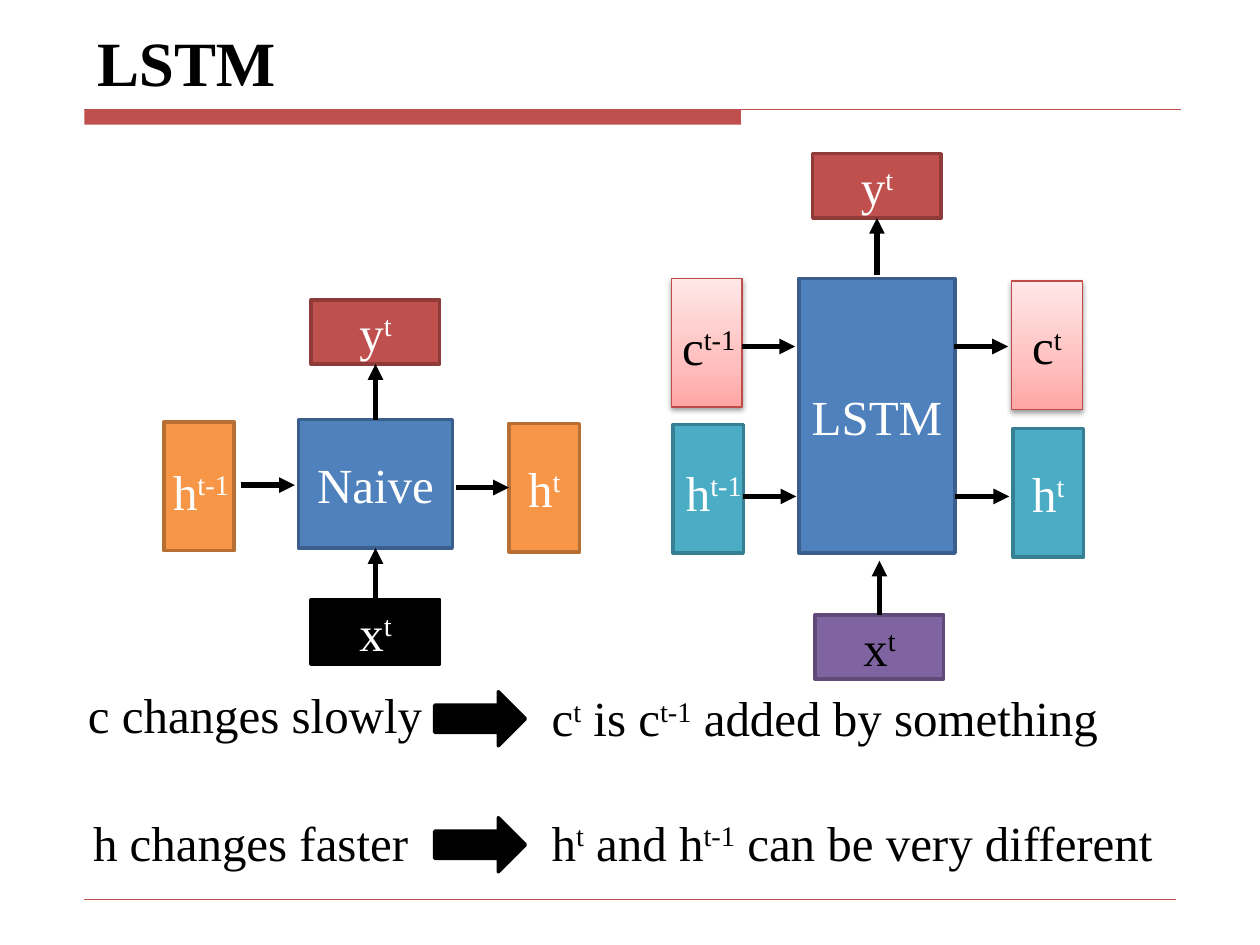
"""Build a slide comparing a naive recurrent cell with an LSTM cell."""
from lxml.etree import SubElement
from pptx import Presentation
from pptx.dml.color import RGBColor
from pptx.enum.shapes import MSO_CONNECTOR as CONNECTOR, MSO_SHAPE as SHAPE
from pptx.enum.text import MSO_ANCHOR as ANCHOR, PP_ALIGN as ALIGN
from pptx.oxml import parse_xml
from pptx.oxml.ns import nsdecls, qn
from pptx.util import Inches, Pt

FONT = "Times New Roman"
TOP, LEFT, BOTTOM, RIGHT = range(4)
BLACK, WHITE, RED, BLUE = "000000", "FFFFFF", "C0504D", "4F81BD"
ORANGE, TEAL, PURPLE, PINK = "F79646", "4BACC6", "8064A2", "FFC0BF"
EDGES = {BLACK: BLACK, RED: "8E3B39", BLUE: "3A5F8C", ORANGE: "B76F34",
         TEAL: "377F92", PURPLE: "5F4A78", PINK: "BF4C48"}
PINK_GRADIENT = f"""<a:gradFill {nsdecls('a')} rotWithShape="1"><a:gsLst>
<a:gs pos="0"><a:srgbClr val="FFA6A5"/></a:gs>
<a:gs pos="35000"><a:srgbClr val="FFC0BF"/></a:gs>
<a:gs pos="100000"><a:srgbClr val="FFE7E7"/></a:gs>
</a:gsLst><a:lin ang="16200000" scaled="0"/></a:gradFill>"""
SOFT_SHADOW = f"""<a:outerShdw {nsdecls('a')} blurRad="40000" dist="20000" dir="5400000"
rotWithShape="0"><a:srgbClr val="000000"><a:alpha val="38000"/></a:srgbClr></a:outerShdw>"""


def rgb(value):
    return RGBColor.from_string(value)


def write(frame, text, color, align):
    paragraph = frame.paragraphs[0]
    paragraph.alignment = align
    paragraph.font.name, paragraph.font.size = FONT, Pt(28)
    paragraph.font.color.rgb = rgb(color)
    for index, part in enumerate(text.split("^")):
        if part:
            run = paragraph.add_run()
            run.text = part
            if index % 2:
                run.font._element.set("baseline", "30000")


prs = Presentation()
prs.slide_width, prs.slide_height = Inches(10), Inches(7.5)
slide = prs.slides.add_slide(prs.slide_layouts[5])
shapes = slide.shapes

title = shapes.title
title.left, title.top = Inches(0.67), Inches(0.21)
title.width, title.height = Inches(8.74), Inches(0.63)
title.text_frame.text = "LSTM"
title.text_frame.vertical_anchor = ANCHOR.BOTTOM
heading = title.text_frame.paragraphs[0]
heading.alignment = ALIGN.LEFT
heading.font.name, heading.font.size, heading.font.bold = FONT, Pt(36), True
heading.font.color.rgb = rgb(BLACK)

title_bar = shapes.add_shape(SHAPE.RECTANGLE, Inches(0.67), Inches(0.87), Inches(5.21), Inches(0.12))
title_bar.shadow.inherit = False
title_bar.fill.solid()
title_bar.fill.fore_color.rgb = rgb(RED)
title_bar.line.fill.background()

tall, wide = (0.56, 1.02), (1.02, 0.51)
blocks = {}
for name, kind, left, top, (width, height), fill, text, color in [
    ("slow arrow", SHAPE.RIGHT_ARROW, 3.45, 5.49, (0.72, 0.43), BLACK, "", WHITE),
    ("fast arrow", SHAPE.RIGHT_ARROW, 3.45, 6.49, (0.72, 0.43), BLACK, "", WHITE),
    ("naive h in", SHAPE.RECTANGLE, 1.3, 3.35, tall, ORANGE, "", WHITE),
    ("naive", SHAPE.RECTANGLE, 2.37, 3.33, (1.22, 1.02), BLUE, "Naive", WHITE),
    ("naive h out", SHAPE.RECTANGLE, 4.04, 3.36, tall, ORANGE, "h^t", WHITE),
    ("naive y", SHAPE.RECTANGLE, 2.47, 2.38, wide, RED, "y^t", WHITE),
    ("naive x", SHAPE.RECTANGLE, 2.47, 4.76, wide, BLACK, "x^t", WHITE),
    ("lstm", SHAPE.RECTANGLE, 6.34, 2.21, (1.24, 2.18), BLUE, "LSTM", WHITE),
    ("lstm c in", SHAPE.RECTANGLE, 5.33, 2.21, tall, PINK, "", BLACK),
    ("lstm y", SHAPE.RECTANGLE, 6.45, 1.22, wide, RED, "y^t", WHITE),
    ("lstm x", SHAPE.RECTANGLE, 6.47, 4.88, wide, PURPLE, "x^t", BLACK),
    ("lstm h in", SHAPE.RECTANGLE, 5.34, 3.37, tall, TEAL, "", WHITE),
    ("lstm c out", SHAPE.RECTANGLE, 8.03, 2.23, tall, PINK, "c^t", BLACK),
    ("lstm h out", SHAPE.RECTANGLE, 8.04, 3.4, tall, TEAL, "h^t", WHITE),
]:
    block = shapes.add_shape(kind, Inches(left), Inches(top), Inches(width), Inches(height))
    block.shadow.inherit = False
    block.line.color.rgb = rgb(EDGES[fill])
    block.line.width = Pt(0.75 if fill == PINK else 2)
    if fill == PINK:
        properties = block._element.spPr
        properties.find(qn("a:prstGeom")).addnext(parse_xml(PINK_GRADIENT))
        properties.find(qn("a:effectLst")).append(parse_xml(SOFT_SHADOW))
    else:
        block.fill.solid()
        block.fill.fore_color.rgb = rgb(fill)
    if text:
        write(block.text_frame, text, color, ALIGN.CENTER)
    blocks[name] = block

for x1, y1, x2, y2, color, weight, source, target in [
    (0.67, 0.87, 9.37, 0.87, RED, 0.75, None, None),
    (0.67, 7.14, 9.33, 7.14, RED, 0.25, None, None),
    (1.91, 3.85, 2.34, 3.85, BLACK, 3, None, None),
    (3.62, 3.87, 4.04, 3.87, BLACK, 3, None, ("naive h out", LEFT)),
    (2.98, 3.33, 2.98, 2.89, BLACK, 3, ("naive", TOP), ("naive y", BOTTOM)),
    (2.98, 4.76, 2.98, 4.35, BLACK, 3, ("naive x", TOP), ("naive", BOTTOM)),
    (5.89, 2.75, 6.31, 2.75, BLACK, 3, None, None),
    (5.9, 3.94, 6.32, 3.94, BLACK, 3, None, None),
    (7.57, 2.75, 8, 2.75, BLACK, 3, None, None),
    (7.58, 3.94, 8.01, 3.94, BLACK, 3, None, None),
    (6.96, 2.18, 6.96, 1.73, BLACK, 3, None, ("lstm y", BOTTOM)),
    (6.98, 4.88, 6.98, 4.45, BLACK, 3, ("lstm x", TOP), None),
]:
    link = shapes.add_connector(CONNECTOR.STRAIGHT, Inches(x1), Inches(y1), Inches(x2), Inches(y2))
    link.line.color.rgb = rgb(color)
    link.line.width = Pt(weight)
    if color == BLACK:
        SubElement(link.line._get_or_add_ln(), qn("a:tailEnd"), type="triangle")
    SubElement(link._element.spPr, qn("a:effectLst"))
    if source:
        link.begin_connect(blocks[source[0]], source[1])
    if target:
        link.end_connect(blocks[target[0]], target[1])

for left, top, width, text, color, align in [
    (0.6, 5.38, 2.86, "c changes slowly", BLACK, ALIGN.LEFT),
    (0.64, 6.4, 2.86, "h changes faster", BLACK, ALIGN.LEFT),
    (4.28, 5.41, 4.91, "c^t^ is c^t-1^ added by something", BLACK, ALIGN.LEFT),
    (4.28, 6.4, 5.45, "h^t^ and h^t-1^ can be very different", BLACK, ALIGN.LEFT),
    (1.24, 3.61, 0.71, "h^t-1", WHITE, ALIGN.CENTER),
    (5.31, 3.62, 0.71, "h^t-1", WHITE, ALIGN.CENTER),
    (5.29, 2.46, 0.67, "c^t-1", BLACK, ALIGN.CENTER),
]:
    label = shapes.add_textbox(Inches(left), Inches(top), Inches(width), Inches(0.57))
    label.text_frame.word_wrap = align == ALIGN.LEFT
    write(label.text_frame, text, color, align)

prs.save("out.pptx")
